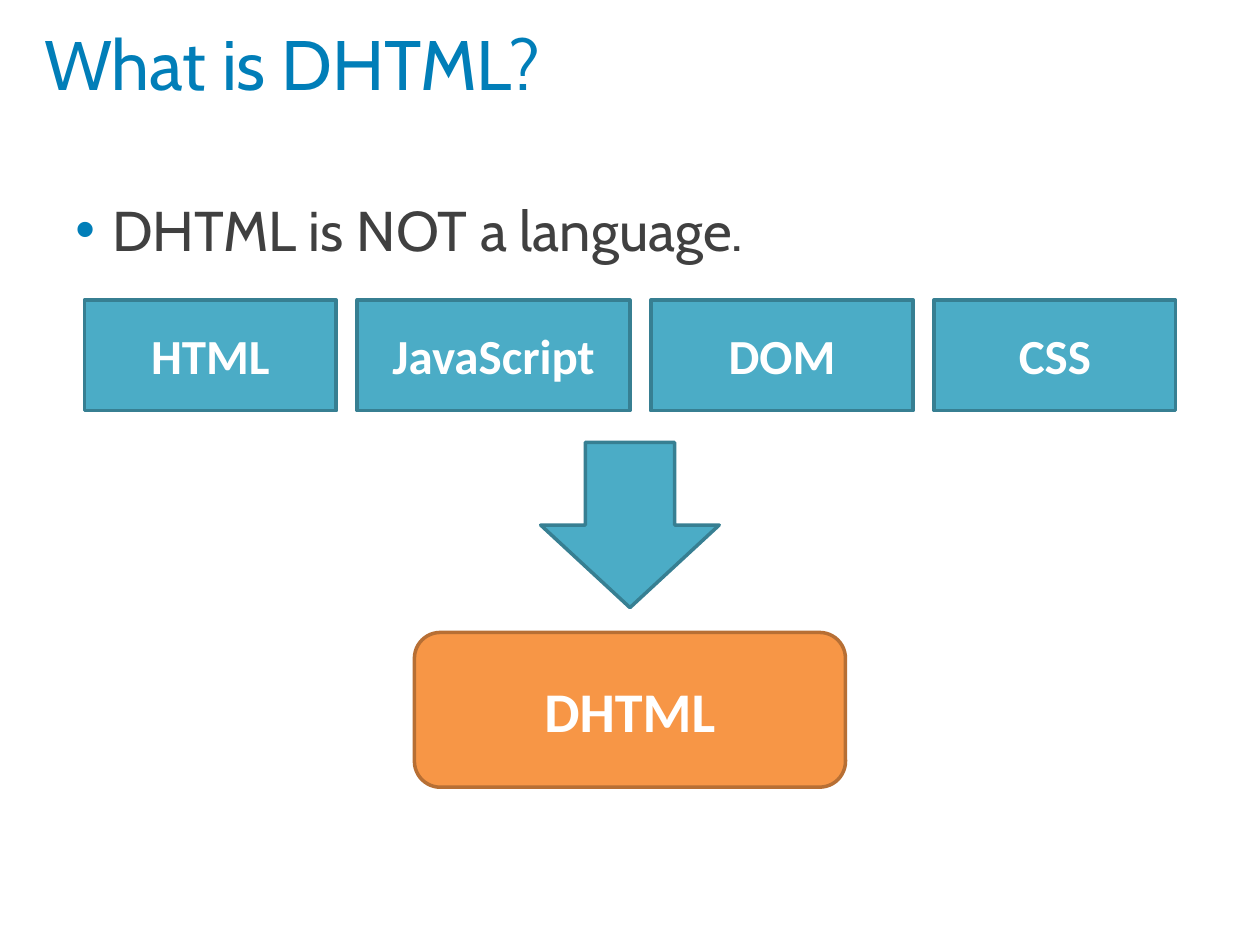
"""Build the slide that explains what DHTML is made of."""
from dataclasses import dataclass

from lxml import etree
from pptx import Presentation
from pptx import util as u
from pptx.dml.color import RGBColor
from pptx.enum import shapes, text
from pptx.oxml.ns import qn


@dataclass(frozen=True)
class Theme:
    heading_font: str = "Cabin"
    label_font: str = "Calibri"
    accent: str = "017EB8"
    body: str = "404040"
    white: str = "FFFFFF"
    teal: str = "4BACC6"
    teal_edge: str = "377F92"
    orange: str = "F79646"
    orange_edge: str = "B76F34"
    title_size: int = 40
    large_size: int = 32
    label_size: int = 28
    edge_width: int = 2


@dataclass(frozen=True)
class Area:
    left: float
    top: float
    width: float
    height: float

    def lengths(self) -> tuple:
        return tuple(u.Cm(n) for n in (self.left, self.top, self.width, self.height))


@dataclass(frozen=True)
class Block:
    kind: shapes.MSO_SHAPE
    area: Area
    fill: str
    edge: str
    label: str = ""
    size: int = 0


THEME = Theme()
SLIDE_WIDTH, SLIDE_HEIGHT = 25.4, 19.05
ROW_LEFT, ROW_TOP, ROW_HEIGHT, ROW_GAP = 1.7, 6.05, 2.23, 0.42
INGREDIENTS = (("HTML", 5.08), ("JavaScript", 5.5), ("DOM", 5.29), ("CSS", 4.87))


def add_run(paragraph, words: str, font: str, size: int, color: str, bold: bool = False) -> None:
    run = paragraph.add_run()
    run.text = words
    run.font.name = font
    run.font.size = u.Pt(size)
    run.font.bold = bold
    run.font.color.rgb = RGBColor.from_string(color)


def add_frame(slide, area: Area, anchor: text.MSO_ANCHOR):
    frame = slide.shapes.add_textbox(*area.lengths()).text_frame
    frame.word_wrap = True
    frame.vertical_anchor = anchor
    return frame


def add_bullet(paragraph, color: str, indent: float) -> None:
    properties = paragraph._p.get_or_add_pPr()
    properties.set("marL", str(u.Cm(indent)))
    properties.set("indent", str(-u.Cm(indent)))
    tint = etree.SubElement(properties, qn("a:buClr"))
    etree.SubElement(tint, qn("a:srgbClr"), val=color)
    etree.SubElement(properties, qn("a:buFont"), typeface="Arial")
    etree.SubElement(properties, qn("a:buChar"), char="•")


def add_block(slide, block: Block) -> None:
    shape = slide.shapes.add_shape(block.kind, *block.area.lengths())
    shape.shadow.inherit = False
    shape.fill.solid()
    shape.fill.fore_color.rgb = RGBColor.from_string(block.fill)
    shape.line.color.rgb = RGBColor.from_string(block.edge)
    shape.line.width = u.Pt(THEME.edge_width)
    if block.label:
        shape.text_frame.vertical_anchor = text.MSO_ANCHOR.MIDDLE
        paragraph = shape.text_frame.paragraphs[0]
        paragraph.alignment = text.PP_ALIGN.CENTER
        add_run(paragraph, block.label, THEME.label_font, block.size, THEME.white, bold=True)


def centred(top: float, width: float, height: float) -> Area:
    return Area((SLIDE_WIDTH - width) / 2, top, width, height)


def main() -> None:
    deck = Presentation()
    deck.slide_width, deck.slide_height = u.Cm(SLIDE_WIDTH), u.Cm(SLIDE_HEIGHT)
    slide = deck.slides.add_slide(deck.slide_layouts[6])

    title = add_frame(slide, Area(0.64, 0, 22.86, 2.54), text.MSO_ANCHOR.MIDDLE)
    add_run(title.paragraphs[0], "What is DHTML?", THEME.heading_font, THEME.title_size, THEME.accent)

    statement = add_frame(slide, Area(1.27, 3.81, 22.86, 13.21), text.MSO_ANCHOR.TOP).paragraphs[0]
    add_bullet(statement, THEME.accent, 0.74)
    add_run(statement, "DHTML is NOT a language.", THEME.heading_font, THEME.large_size, THEME.body)

    left = ROW_LEFT
    for label, width in INGREDIENTS:
        area = Area(left, ROW_TOP, width, ROW_HEIGHT)
        add_block(slide, Block(shapes.MSO_SHAPE.RECTANGLE, area, THEME.teal, THEME.teal_edge,
                               label, THEME.label_size))
        left += width + ROW_GAP

    add_block(slide, Block(shapes.MSO_SHAPE.DOWN_ARROW, centred(8.92, 3.6, 3.33),
                           THEME.teal, THEME.teal_edge))
    add_block(slide, Block(shapes.MSO_SHAPE.ROUNDED_RECTANGLE, centred(12.75, 8.69, 3.12),
                           THEME.orange, THEME.orange_edge, "DHTML", THEME.large_size))
    deck.save("out.pptx")


if __name__ == "__main__":
    main()
